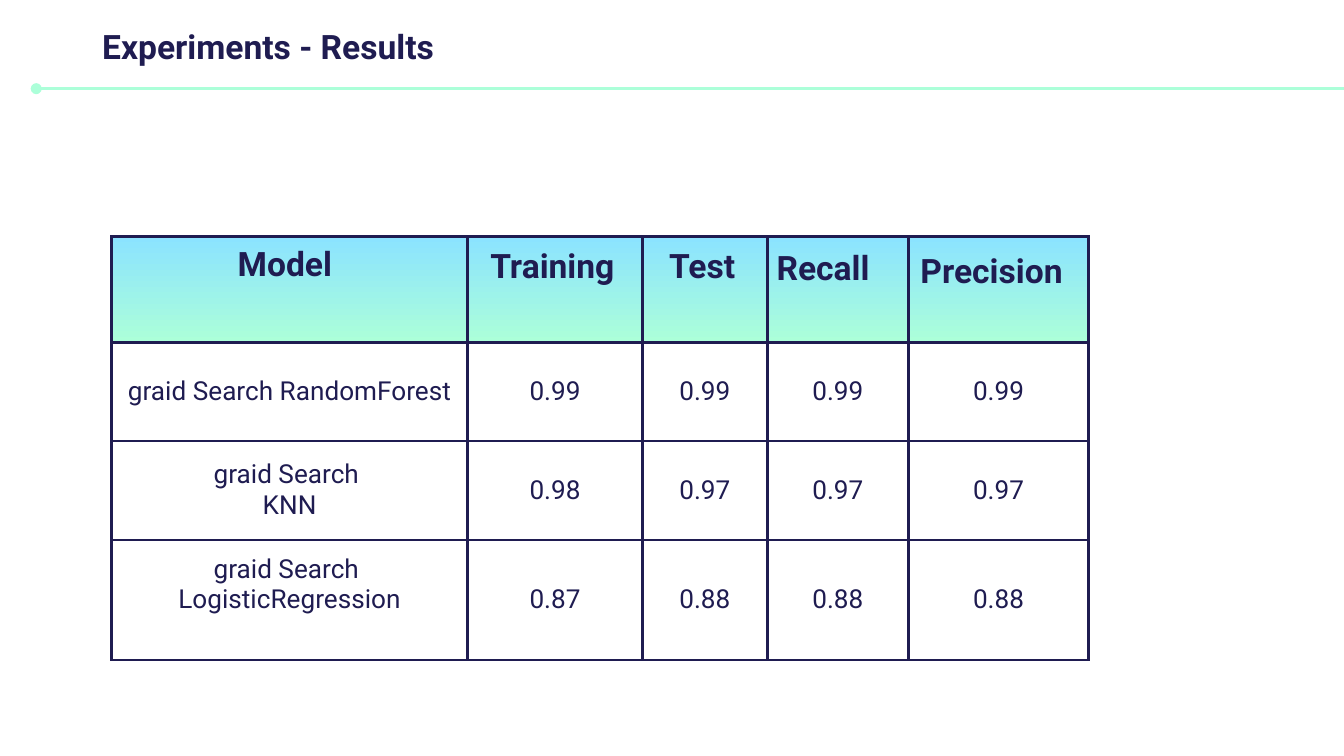
from lxml import etree
from pptx import Presentation
from pptx.dml.color import RGBColor
from pptx.enum.shapes import MSO_CONNECTOR
from pptx.enum.text import MSO_ANCHOR, MSO_AUTO_SIZE, PP_ALIGN
from pptx.oxml import parse_xml
from pptx.oxml.ns import nsdecls, qn
from pptx.util import Inches, Pt

STRAIGHT = MSO_CONNECTOR.STRAIGHT
TOP, MIDDLE = MSO_ANCHOR.TOP, MSO_ANCHOR.MIDDLE
LEFT, CENTER = PP_ALIGN.LEFT, PP_ALIGN.CENTER
NO_AUTOFIT = MSO_AUTO_SIZE.NONE
FONT = "Roboto"
COLORS = {"ink": "1F1C51", "mint": "ACFFD9", "sky": "8BE3FF", "white": "FFFFFF"}
COLUMN_WIDTHS = [2.65, 1.3, 0.93, 1.05, 1.34]
ROW_HEIGHTS = [0.79, 0.73, 0.74, 0.89]
RESULTS = [
    ["graid Search RandomForest", "0.99", "0.99", "0.99", "0.99"],
    ["graid Search \nKNN", "0.98", "0.97", "0.97", "0.97"],
    ["graid Search \nLogisticRegression", "0.87", "0.88", "0.88", "0.88"],
]
HEADERS = [
    ("Model", 1.67, 1.71, 1.79),
    ("Training", 3.55, 1.72, 1.17),
    ("Test", 4.88, 1.72, 0.82),
    ("Recall", 5.68, 1.74, 1.28),
    ("Precision", 6.75, 1.76, 1.41),
]


def color(name):
    """Return the named colour."""
    return RGBColor.from_string(COLORS[name])


def set_values(target, **values):
    """Set each given attribute on the target."""
    for name, value in values.items():
        setattr(target, name, value)


def set_insets(target, bottom=0.1):
    """Set the text margins of a frame or cell."""
    side = Inches(0.1)
    set_values(target, margin_left=side, margin_right=side,
               margin_top=side, margin_bottom=Inches(bottom))


def write_text(frame, text, size, bold, **paragraph_format):
    """Write one paragraph per line of text."""
    frame.text = text
    for para in frame.paragraphs:
        set_values(para, **paragraph_format)
        for span in para.runs:
            set_values(span.font, name=FONT, size=Pt(size), bold=bold)
            span.font.color.rgb = color("ink")


def format_heading(box, text, left, top, width):
    """Place a box and write a bold heading in it."""
    set_values(box, left=Inches(left), top=Inches(top),
               width=Inches(width), height=Inches(0.79))
    frame = box.text_frame
    set_values(frame, word_wrap=True, auto_size=NO_AUTOFIT, vertical_anchor=TOP)
    set_insets(frame)
    write_text(frame, text, 18, True, alignment=LEFT,
               space_before=Pt(16), space_after=Pt(16))


def add_heading(page, text, left, top, width):
    """Add a column heading as a text box."""
    box = page.shapes.add_textbox(0, 0, Inches(1), Inches(1))
    format_heading(box, text, left, top, width)


def add_rule(page):
    """Add the line under the title with a round start."""
    height = Inches(0.66)
    rule = page.shapes.add_connector(STRAIGHT, Inches(0.27), height, Inches(10.1), height)
    rule.line.color.rgb = color("mint")
    rule.line.width = Pt(1.5)
    etree.SubElement(rule.line._get_or_add_ln(), qn("a:headEnd"), type="oval")
    etree.SubElement(rule._element.spPr, qn("a:effectLst"))


def add_borders(cell):
    """Draw all four borders of a cell."""
    properties = cell._tc.get_or_add_tcPr()
    for index, side in enumerate(("lnL", "lnR", "lnT", "lnB")):
        properties.insert(index, parse_xml(
            f'<a:{side} {nsdecls("a")} w="{Pt(1.5)}"><a:solidFill>'
            f'<a:srgbClr val="{COLORS["ink"]}"/></a:solidFill></a:{side}>'))


def fill_header(cell):
    """Fill a header cell with a downward gradient."""
    cell.fill.gradient()
    cell.fill.gradient_angle = 270
    for stop, name in zip(cell.fill.gradient_stops, ("sky", "mint")):
        stop.color.rgb = color(name)


def fill_result(cell, text, bottom):
    """Write a centred result in a white cell."""
    cell.fill.solid()
    cell.fill.fore_color.rgb = color("white")
    cell.vertical_anchor = MIDDLE
    set_insets(cell, bottom)
    write_text(cell.text_frame, text, 14, False, alignment=CENTER)


def add_results_table(page):
    """Add the table of model scores."""
    table = page.shapes.add_table(
        len(ROW_HEIGHTS), len(COLUMN_WIDTHS), Inches(0.83), Inches(1.76),
        Inches(sum(COLUMN_WIDTHS)), Inches(sum(ROW_HEIGHTS))).table
    set_values(table, first_row=False, horz_banding=False)
    for column, width in zip(table.columns, COLUMN_WIDTHS):
        column.width = Inches(width)
    for row, height in zip(table.rows, ROW_HEIGHTS):
        row.height = Inches(height)
    for cell in table.rows[0].cells:
        fill_header(cell)
    for row_index, values in enumerate(RESULTS, start=1):
        for column_index, text in enumerate(values):
            raised = "LogisticRegression" in text
            fill_result(table.cell(row_index, column_index), text, 0.33 if raised else 0.1)
    for cell in table.iter_cells():
        add_borders(cell)


def main():
    """Build and save the results slide."""
    deck = Presentation()
    set_values(deck, slide_width=Inches(10), slide_height=Inches(10 * 9 / 16))
    page = deck.slides.add_slide(deck.slide_layouts[5])
    add_rule(page)
    add_results_table(page)
    for heading in HEADERS:
        add_heading(page, *heading)
    format_heading(page.shapes.title, "Experiments - Results", 0.66, 0.09, 3.21)
    deck.save("out.pptx")


if __name__ == "__main__":
    main()
